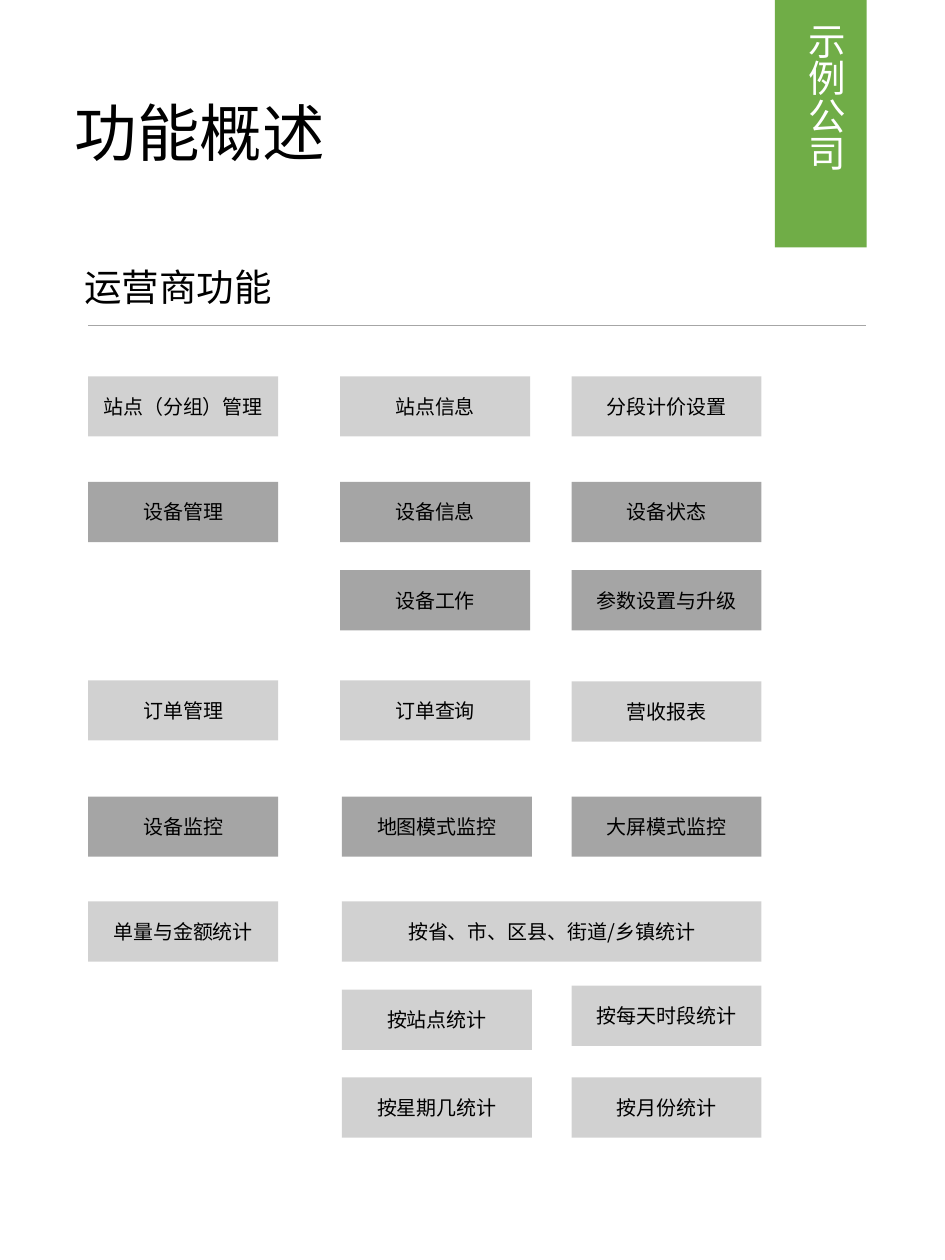
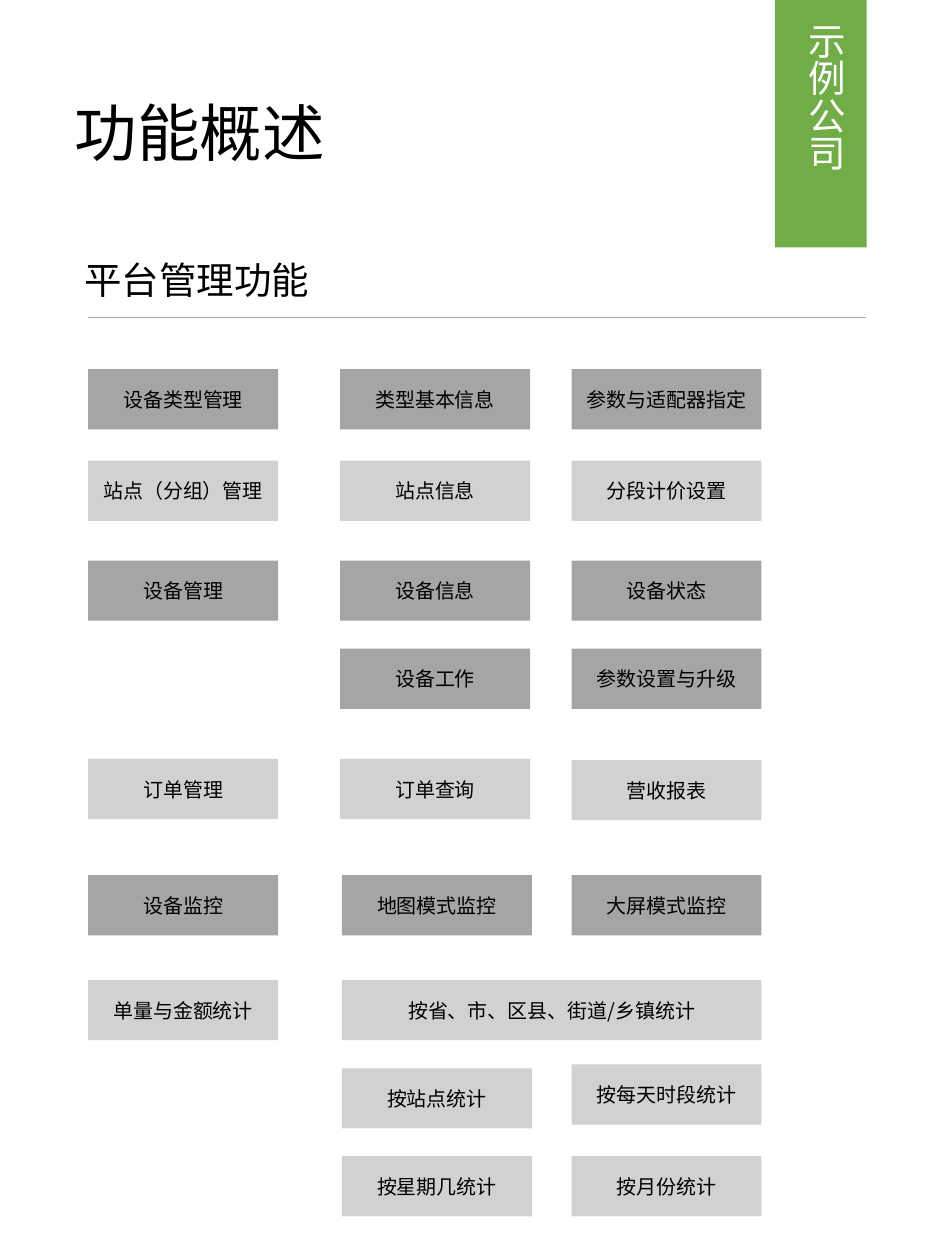
import dataclasses

import lxml.etree
import pptx
import pptx.dml.color
import pptx.enum.shapes
import pptx.enum.text
import pptx.oxml.ns
import pptx.util

Cm = pptx.util.Cm
Pt = pptx.util.Pt
ALIGN = pptx.enum.text.PP_ALIGN
ANCHOR = pptx.enum.text.MSO_ANCHOR
qn = pptx.oxml.ns.qn

COLOURS = {
    "band": "70AD47",
    "band_text": "FFFFFF",
    "text": "000000",
    "rule": "A6A6A6",
    "box": "A5A5A5",
}
FONT = "Noto Sans CJK SC"
COMPANY = "示例公司"
TITLE = "功能概述"

LEFT, MIDDLE, RIGHT = 2.49, 9.6, 16.13
BOX_WIDTH, BOX_HEIGHT = 5.36, 1.7
RULE_END = 24.45


@dataclasses.dataclass
class Row:
    """One row of boxes; two labels leave the left column free."""
    top: float
    labels: tuple
    light: bool = False
    middle: float = MIDDLE
    right_lift: float = 0
    wide: bool = False


STATION_LABELS = ("站点（分组）管理", "站点信息", "分段计价设置")
TYPE_LABELS = ("设备类型管理", "类型基本信息", "参数与适配器指定")

# Tops are measured from the first of these rows.
SHARED_ROWS = [
    Row(0, ("设备管理", "设备信息", "设备状态")),
    Row(2.49, ("设备工作", "参数设置与升级")),
    Row(5.6, ("订单管理", "订单查询", "营收报表"), light=True, right_lift=-0.03),
    Row(8.88, ("设备监控", "地图模式监控", "大屏模式监控"), middle=9.65),
    Row(11.84, ("单量与金额统计", "按省、市、区县、街道/乡镇统计"),
        light=True, middle=9.65, wide=True),
    Row(14.33, ("按站点统计", "按每天时段统计"),
        light=True, middle=9.65, right_lift=0.11),
    Row(16.81, ("按星期几统计", "按月份统计"), light=True, middle=9.65),
]


def rgb(name):
    return pptx.dml.color.RGBColor.from_string(COLOURS[name])


def write(frame, text, size, colour="text", align=ALIGN.LEFT, anchor=ANCHOR.TOP):
    frame.word_wrap = True
    frame.vertical_anchor = anchor
    paragraph = frame.paragraphs[0]
    paragraph.text = text
    paragraph.alignment = align
    font = paragraph.font
    font.size = Pt(size)
    font.name = FONT
    font.color.rgb = rgb(colour)
    east_asian = lxml.etree.SubElement(paragraph._p.pPr.find(qn("a:defRPr")), qn("a:ea"))
    east_asian.set("typeface", FONT)
    return paragraph


def add_block(slide, left, top, width, height, colour, light=False):
    """Add a plain rectangle, half transparent when light."""
    block = slide.shapes.add_shape(
        pptx.enum.shapes.MSO_SHAPE.RECTANGLE,
        Cm(left), Cm(top), Cm(width), Cm(height))
    block.shadow.inherit = False
    block.line.fill.background()
    block.fill.solid()
    block.fill.fore_color.rgb = rgb(colour)
    if light:
        shade = block._element.spPr.find(qn("a:solidFill"))[0]
        lxml.etree.SubElement(shade, qn("a:alpha")).set("val", "50000")
    return block


def add_company_band(slide):
    add_block(slide, 21.87, 0, 2.59, 6.98, "band")
    company = slide.shapes.add_textbox(Cm(22.28), Cm(0.38), Cm(1.8), Cm(6.32))
    write(company.text_frame, COMPANY, 30, "band_text")
    company.text_frame._txBody.bodyPr.set("vert", "eaVert")


def add_title(slide):
    title = slide.shapes.title
    title.left, title.top = Cm(1.85), Cm(2.36)
    title.width, title.height = Cm(23), Cm(2.97)
    paragraph = write(title.text_frame, TITLE, 50, anchor=ANCHOR.MIDDLE)
    paragraph.line_spacing = 0.9


def add_section_heading(slide, text, top):
    heading = slide.shapes.add_textbox(Cm(2.13), Cm(top), Cm(21.95), Cm(1.55))
    write(heading.text_frame, text, 30)
    rule_top = Cm(top + 1.83)
    rule = slide.shapes.add_connector(
        pptx.enum.shapes.MSO_CONNECTOR.STRAIGHT,
        Cm(LEFT), rule_top, Cm(RULE_END), rule_top)
    rule.line.color.rgb = rgb("rule")
    rule.line.width = Pt(0.5)
    lxml.etree.SubElement(rule._element.spPr, qn("a:effectLst"))


def add_row(slide, row, start=0):
    if row.wide:
        lefts = (LEFT, row.middle)
    else:
        lefts = (LEFT, row.middle, RIGHT)[-len(row.labels):]
    for left, label in zip(lefts, row.labels):
        spans = row.wide and left == row.middle
        width = RIGHT + BOX_WIDTH - left if spans else BOX_WIDTH
        top = start + row.top - (row.right_lift if left == RIGHT else 0)
        box = add_block(slide, left, top, width, BOX_HEIGHT, "box", row.light)
        write(box.text_frame, label, 16, align=ALIGN.CENTER, anchor=ANCHOR.MIDDLE)


def add_overview_slide(deck, heading, heading_top, first_rows, shared_start):
    slide = deck.slides.add_slide(deck.slide_layouts[5])
    add_company_band(slide)
    add_title(slide)
    add_section_heading(slide, heading, heading_top)
    for row in first_rows:
        add_row(slide, row)
    for row in SHARED_ROWS:
        add_row(slide, row, shared_start)


def main():
    deck = pptx.Presentation()
    deck.slide_width, deck.slide_height = Cm(26.67), Cm(35.56)
    add_overview_slide(deck, "运营商功能", 7.34,
                       [Row(10.62, STATION_LABELS, light=True)], 13.6)
    add_overview_slide(deck, "平台管理功能", 7.14,
                       [Row(10.42, TYPE_LABELS),
                        Row(13, STATION_LABELS, light=True)], 15.82)
    deck.save("out.pptx")


if __name__ == "__main__":
    main()
